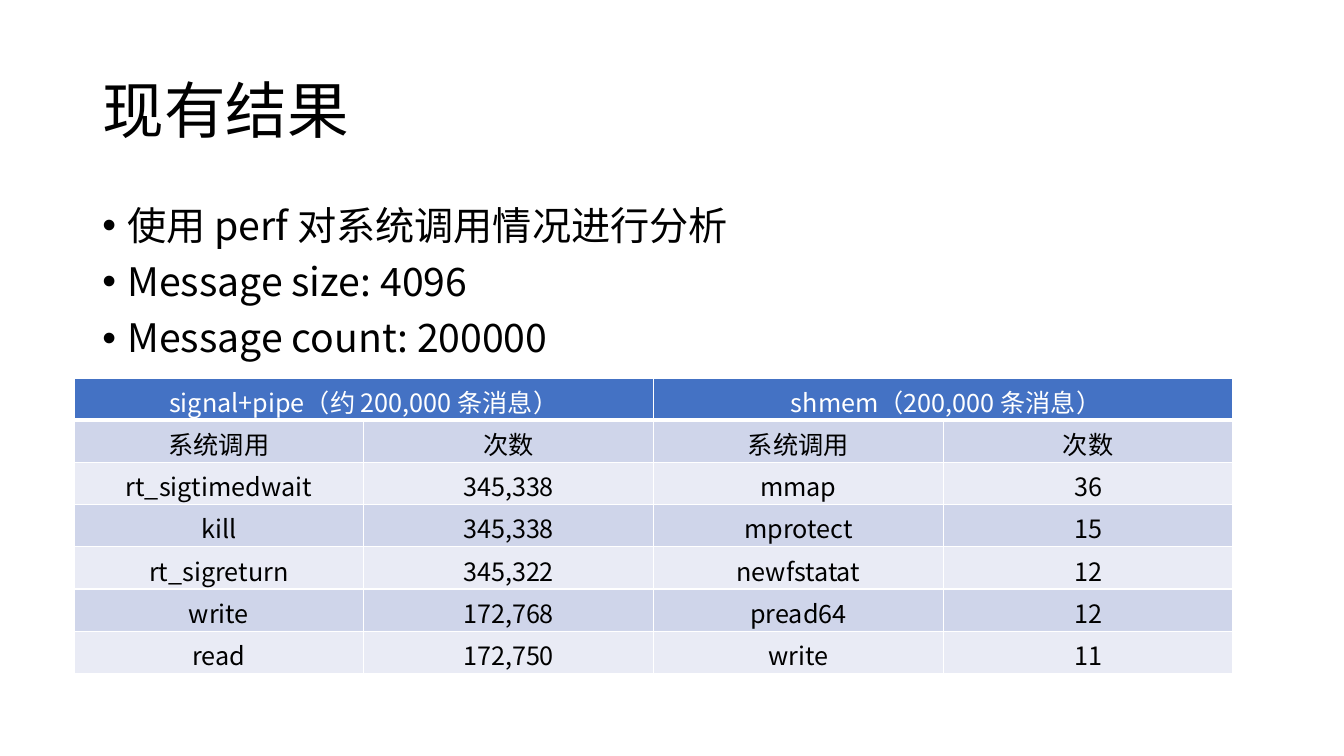
from pptx import Presentation
from pptx.dml.color import RGBColor
from pptx.enum.text import MSO_ANCHOR, PP_ALIGN
from pptx.oxml.ns import qn
from pptx.util import Pt
from lxml import etree

LEFT, CENTER = PP_ALIGN.LEFT, PP_ALIGN.CENTER
TOP, MIDDLE = MSO_ANCHOR.TOP, MSO_ANCHOR.MIDDLE

# Content
TITLE = "现有结果"
BULLETS = [
    "使用 perf 对系统调用情况进行分析",
    "Message size: 4096",
    "Message count: 200000",
]
GROUPS = ["signal+pipe（约 200,000 条消息）", " shmem（200,000 条消息）"]
ROWS = [
    ("系统调用", "次数", "系统调用", "次数"),
    ("rt_sigtimedwait", "345,338", "mmap", "36"),
    ("kill", "345,338", "mprotect", "15"),
    ("rt_sigreturn", "345,322", "newfstatat", "12"),
    ("write", "172,768", "pread64", "12"),
    ("read", "172,750", "write", "11"),
]


class Theme:
    font = "Noto Sans CJK SC"
    title, body, cell = 44, 28, 18
    black, white = "000000", "FFFFFF"
    header = "4472C4"
    bands = ("CFD5EA", "E9EBF5")


# Layout, in points
SLIDE = (960, 540)
TITLE_BOX = (66, 28.75, 828, 104.4)
BODY_BOX = (66, 143.75, 828, 342.6)
TABLE_BOX = (52.8, 270, 828, 211)
INDENT = 18


def write(tf, lines, size, color=Theme.black, align=LEFT, anchor=TOP,
          spacing=None, before=0, bullet=False):
    tf.word_wrap = True
    tf.vertical_anchor = anchor
    for i, line in enumerate(lines):
        p = tf.paragraphs[0] if i == 0 else tf.add_paragraph()
        p.alignment = align
        p.line_spacing = spacing
        p.space_before = Pt(before)
        if bullet:
            pPr = p._p.get_or_add_pPr()
            pPr.set("marL", str(Pt(INDENT)))
            pPr.set("indent", str(-Pt(INDENT)))
            etree.SubElement(pPr, qn("a:buFont"), typeface="Arial")
            etree.SubElement(pPr, qn("a:buChar"), char="•")
        r = p.add_run()
        r.text = line
        r.font.size = Pt(size)
        r.font.name = Theme.font
        r.font.color.rgb = RGBColor.from_string(color)
        etree.SubElement(r._r.get_or_add_rPr(), qn("a:ea"), typeface=Theme.font)


def style_cell(cell, fill, bottom=1):
    tcPr = cell._tc.get_or_add_tcPr()
    for side, width in (("L", 1), ("R", 1), ("T", 1), ("B", bottom)):
        ln = etree.SubElement(tcPr, qn(f"a:ln{side}"), w=str(Pt(width)))
        solid = etree.SubElement(ln, qn("a:solidFill"))
        etree.SubElement(solid, qn("a:srgbClr"), val=Theme.white)
    cell.fill.solid()
    cell.fill.fore_color.rgb = RGBColor.from_string(fill)


def add_results(s):
    n_rows, n_cols = len(ROWS) + 1, len(ROWS[0])
    table = s.shapes.add_table(n_rows, n_cols, *map(Pt, TABLE_BOX)).table
    for col in table.columns:
        col.width = Pt(TABLE_BOX[2] / n_cols)
    for row in table.rows:
        row.height = Pt(TABLE_BOX[3] / n_rows)

    # Merged group headers
    for c in range(n_cols):
        style_cell(table.cell(0, c), Theme.header, bottom=3)
    span = n_cols // len(GROUPS)
    for g, name in enumerate(GROUPS):
        cell = table.cell(0, g * span)
        cell.merge(table.cell(0, (g + 1) * span - 1))
        write(cell.text_frame, [name], Theme.cell, color=Theme.white, align=CENTER)
        cell.vertical_anchor = MIDDLE

    # Banded rows
    for i, values in enumerate(ROWS):
        for c, value in enumerate(values):
            cell = table.cell(i + 1, c)
            style_cell(cell, Theme.bands[i % 2])
            write(cell.text_frame, [value], Theme.cell, align=CENTER)
            cell.vertical_anchor = MIDDLE


def main():
    prs = Presentation()
    prs.slide_width, prs.slide_height = map(Pt, SLIDE)
    s = prs.slides.add_slide(prs.slide_layouts[5])

    # Title
    sp = s.shapes.title
    sp.left, sp.top, sp.width, sp.height = map(Pt, TITLE_BOX)
    write(sp.text_frame, [TITLE], Theme.title, anchor=MIDDLE, spacing=0.9)

    # Bullets
    sp = s.shapes.add_textbox(*map(Pt, BODY_BOX))
    write(sp.text_frame, BULLETS, Theme.body, spacing=0.9, before=10, bullet=True)

    # Table of system calls
    add_results(s)
    prs.save("out.pptx")


if __name__ == "__main__":
    main()
